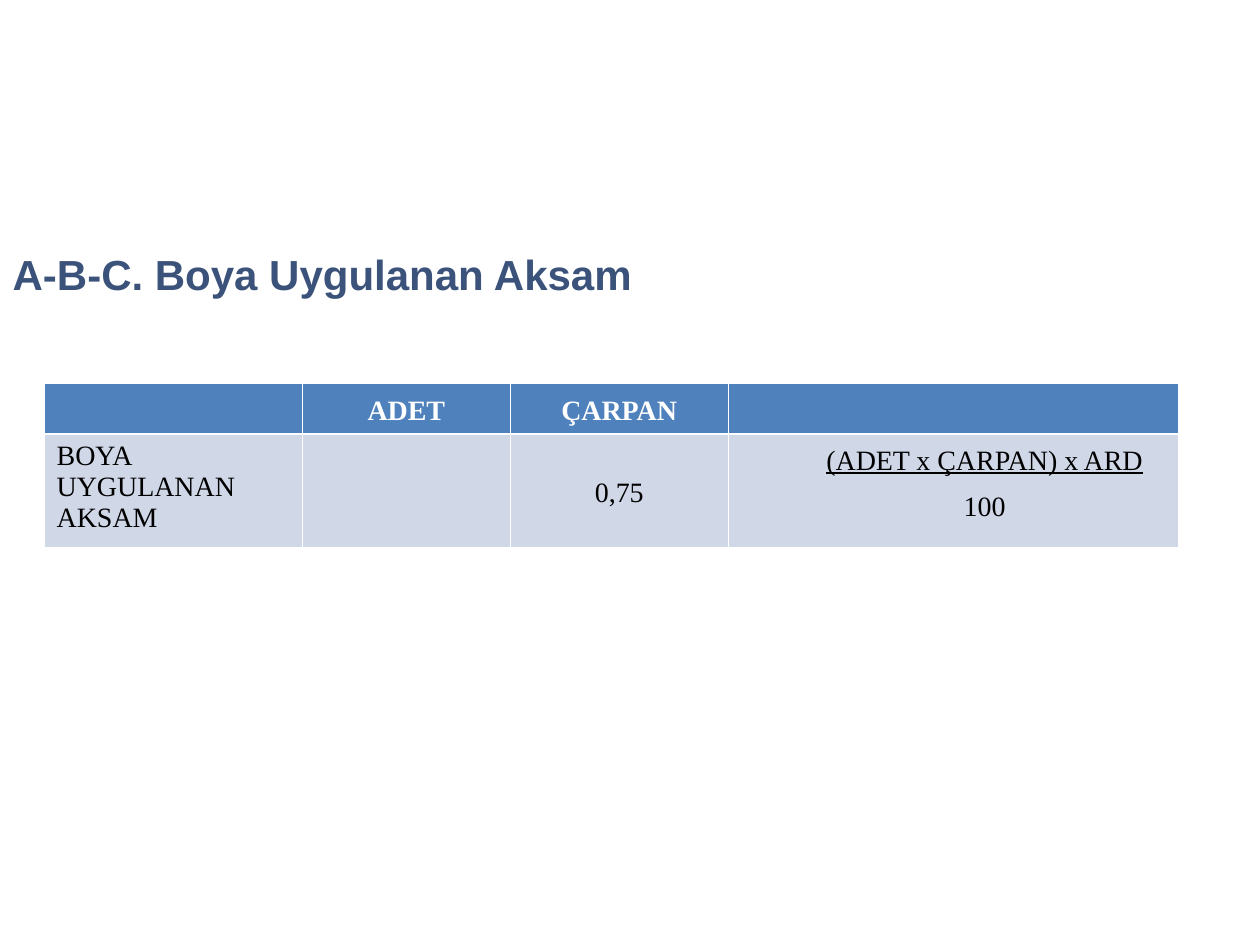
from pptx import Presentation
from pptx.dml.color import RGBColor
from pptx.enum import text
from pptx.oxml import parse_xml
from pptx.oxml.ns import nsdecls
from pptx.util import Inches, Pt


def rgb(value):
    return RGBColor.from_string(value)


def set_border(cell, side, width):
    cell._tc.get_or_add_tcPr().append(parse_xml(
        f'<a:{side} {nsdecls("a")} w="{Pt(width)}"><a:solidFill>'
        f'<a:srgbClr val="FFFFFF"/></a:solidFill></a:{side}>'))


prs = Presentation()
prs.slide_width, prs.slide_height = Inches(10), Inches(7.5)
s = prs.slides.add_slide(prs.slide_layouts[5])

# Title
title = s.shapes.title
title.left, title.top = Inches(0), Inches(1.55)
title.width, title.height = Inches(9), Inches(0.95)
tf = title.text_frame
tf.text = "A-B-C. Boya Uygulanan Aksam"
tf.auto_size = text.MSO_AUTO_SIZE.NONE
tf.vertical_anchor = text.MSO_ANCHOR.BOTTOM
tf.margin_bottom = Inches(0.13)
p = tf.paragraphs[0]
p.alignment = text.PP_ALIGN.LEFT
font = p.runs[0].font
font.name, font.size, font.bold = "Arial", Pt(24), True
font.color.rgb = rgb("3B527A")

# Table
rows = [
    ["", "ADET", "ÇARPAN", ""],
    ["BOYA UYGULANAN AKSAM", "", "0,75", "(ADET x ÇARPAN) x ARD\n100"],
]
table = s.shapes.add_table(2, 4, Inches(0.35), Inches(3.04), Inches(9), Inches(1.3)).table
for column, width in zip(table.columns, [2.05, 1.65, 1.73, 3.57]):
    column.width = Inches(width)
for row, height in zip(table.rows, [0.4, 0.9]):
    row.height = Inches(height)

for i, row in enumerate(rows):
    header = i == 0
    for j, words in enumerate(row):
        cell = table.cell(i, j)
        cell.text = words
        label = j == 0
        formula = j == 3 and not header
        cell.margin_left = cell.margin_right = Inches(0.1 if label else 0.08)
        if not label and not formula:
            cell.vertical_anchor = text.MSO_ANCHOR.MIDDLE

        # White grid, heavier under the header
        for side in ("lnL", "lnR", "lnT", "lnB"):
            heavy = side == ("lnB" if header else "lnT")
            set_border(cell, side, 1.47 if heavy else 0.45)
        cell.fill.solid()
        cell.fill.fore_color.rgb = rgb("4F81BD" if header else "D0D8E8")

        for k, p in enumerate(cell.text_frame.paragraphs):
            if not label:
                p.alignment = text.PP_ALIGN.CENTER
                p.line_spacing, p.space_after = 1.15, Pt(6)
            if formula:
                p._p.get_or_add_pPr().set("marL", str(Inches(0.5)))
            for r in p.runs:
                r.font.name, r.font.size = "Times New Roman", Pt(16)
                r.font.bold = header
                r.font.underline = formula and k == 0
                r.font.color.rgb = rgb("FFFFFF" if header else "000000")

prs.save("out.pptx")
